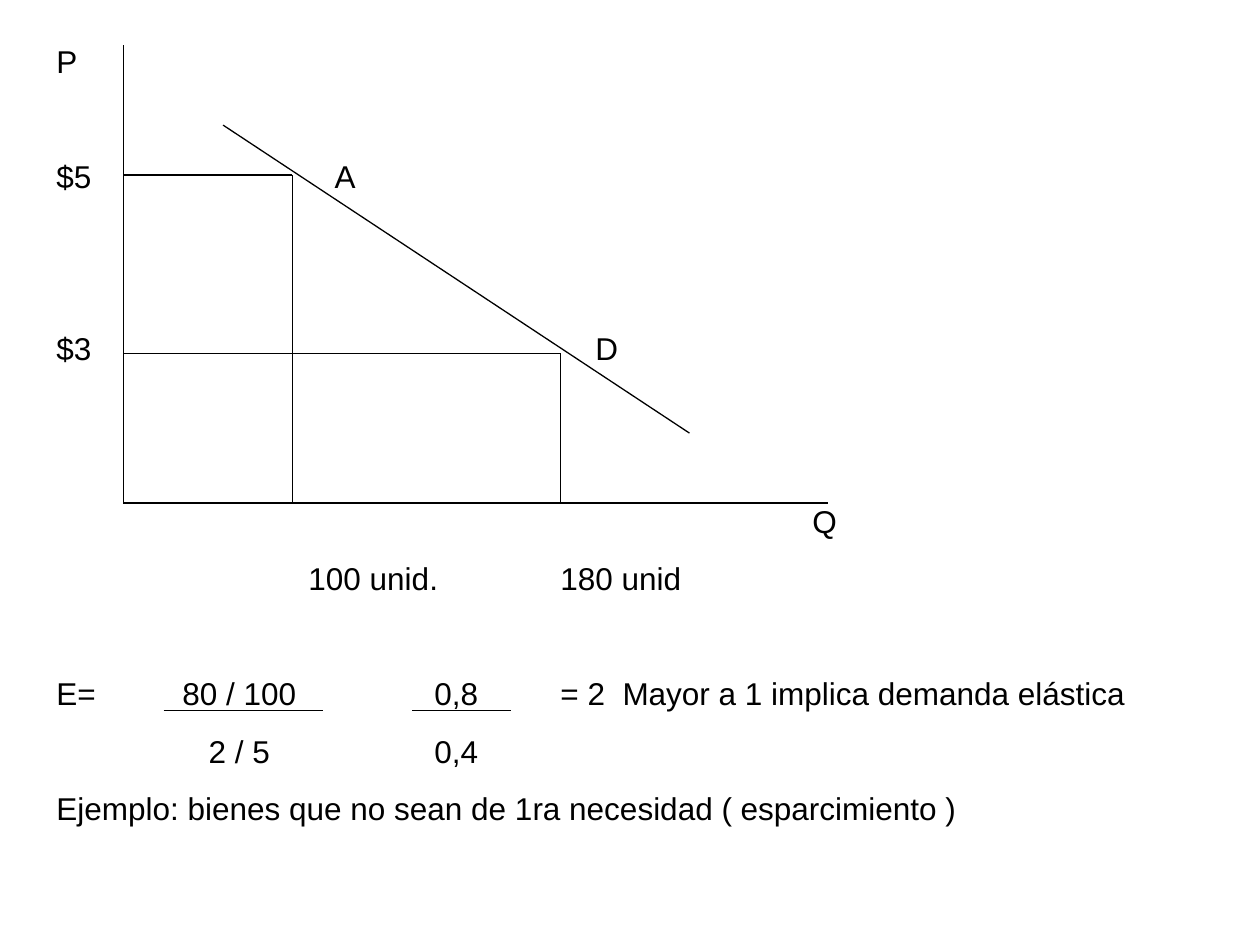
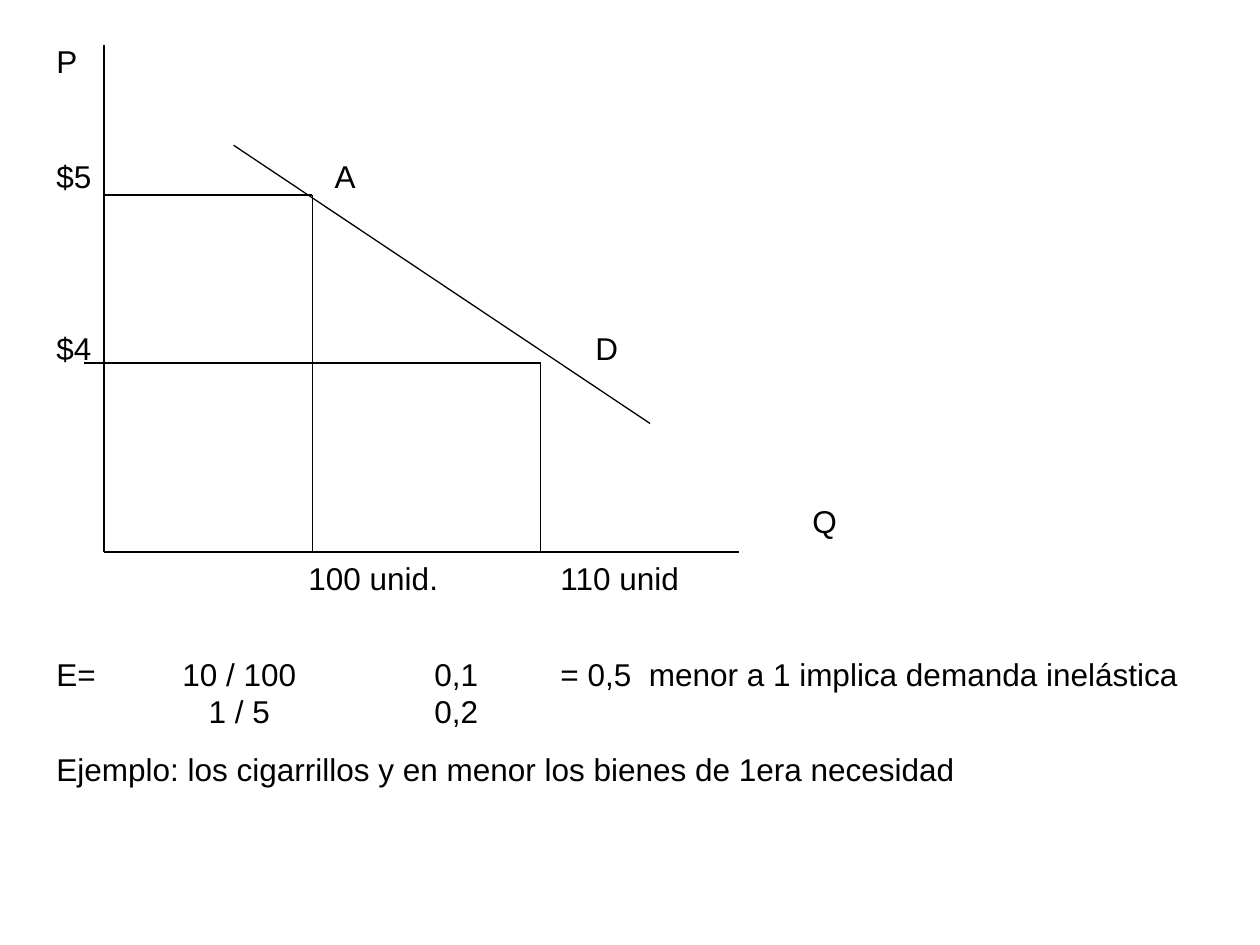
from lxml import etree
from pptx import Presentation
from pptx.dml.color import RGBColor
from pptx.enum import shapes, text
from pptx.oxml.ns import qn
from pptx.util import Pt

COLORS = {"ink": "000000"}
INK = RGBColor.from_string(COLORS["ink"])
FONT, SIZE = "Arial", 18
LINE, GAP = 21.65, 11.2
PITCH = LINE + GAP
COLUMN = 72

examples = [
    dict(
        high_price="$5", low_price="$3", start_units="100 unid.", end_units="180 unid",
        numerator=("80 / 100", "0,8"), denominator=("2 / 5", "0,4"),
        result="= 2", meaning="Mayor a 1 implica demanda elástica", meaning_at=323.5,
        example="Ejemplo: bienes que no sean de 1ra necesidad ( esparcimiento )",
        fraction_gap=GAP, text_height=489,
        axis_x=70.5, axis_top=26, base=287.5, axis_end=473,
        demand=(127.5, 71.5, 394, 247.5), point_a=(167, 100), point_d=(320.5, 202),
        low_guide_x=70.5,
        fraction_bars=[(93.5, 406, 184.5, 406), (235.5, 406, 292, 406)],
    ),
    dict(
        high_price="$5", low_price="$4", start_units="100 unid.", end_units="110 unid",
        numerator=("10 / 100", "0,1"), denominator=("1 / 5", "0,2"),
        result="= 0,5", meaning="menor a 1 implica demanda inelástica", meaning_at=338.5,
        example="Ejemplo: los cigarrillos y en menor los bienes de 1era necesidad",
        fraction_gap=0, text_height=433.5,
        axis_x=59.5, axis_top=26, base=315.5, axis_end=422.5,
        demand=(133.5, 83, 371.5, 242), point_a=(178.5, 111.5), point_d=(309, 207.5),
        low_guide_x=48,
        fraction_bars=[],
    ),
]


def draw_line(slide, x1, y1, x2, y2):
    line = slide.shapes.add_connector(
        shapes.MSO_CONNECTOR.STRAIGHT, Pt(x1), Pt(y1), Pt(x2), Pt(y2))
    line.line.color.rgb = INK
    line.line.width = Pt(0.75)
    etree.SubElement(line._element.spPr, qn("a:effectLst"))


def set_tabs(paragraph, stops):
    tabs = etree.SubElement(paragraph._p.get_or_add_pPr(), qn("a:tabLst"))
    for stop in stops:
        etree.SubElement(tabs, qn("a:tab"), pos=str(int(Pt(stop))), algn="l")


prs = Presentation()
prs.slide_width, prs.slide_height = Pt(720), Pt(540)

for ex in examples:
    slide = prs.slides.add_slide(prs.slide_layouts[6])

    # Each row: text, tab stops, space before
    one_row_skipped = PITCH + GAP
    two_rows_skipped = 2 * PITCH + GAP
    rows = [
        ("P", [], 0),
        (f"{ex['high_price']}\tA", [2 * COLUMN + 15], one_row_skipped),
        (f"{ex['low_price']}\tD", [4 * COLUMN + 20], two_rows_skipped),
        ("\tQ", [6 * COLUMN], two_rows_skipped),
        (f"\t{ex['start_units']}\t{ex['end_units']}", [2 * COLUMN, 4 * COLUMN], GAP),
        ("\t".join(["E=", *ex["numerator"], ex["result"], ex["meaning"]]),
         [COLUMN, 3 * COLUMN, 4 * COLUMN, ex["meaning_at"]], PITCH + ex["fraction_gap"]),
        ("\t" + "\t".join(ex["denominator"]), [COLUMN + 15, 3 * COLUMN], ex["fraction_gap"]),
        (ex["example"], [], GAP),
    ]
    notes = slide.shapes.add_textbox(Pt(25.2), Pt(20.2), Pt(674.6), Pt(ex["text_height"]))
    frame = notes.text_frame
    frame.word_wrap = True
    frame.auto_size = text.MSO_AUTO_SIZE.NONE
    for index, (content, stops, space) in enumerate(rows):
        row = frame.add_paragraph() if index else frame.paragraphs[0]
        row.text = content
        if stops:
            set_tabs(row, stops)
        row.line_spacing = Pt(LINE)
        row.space_before = Pt(space)
        for run in row.runs:
            run.font.name = FONT
            run.font.size = Pt(SIZE)
            run.font.color.rgb = INK

    axis_x, base = ex["axis_x"], ex["base"]
    (a_x, a_y), (d_x, d_y) = ex["point_a"], ex["point_d"]
    for ends in [
        (axis_x, ex["axis_top"], axis_x, base),
        (axis_x, base, ex["axis_end"], base),
        ex["demand"],
        (axis_x, a_y, a_x, a_y),
        (ex["low_guide_x"], d_y, d_x, d_y),
        (a_x, a_y, a_x, base),
        (d_x, d_y, d_x, base),
        *ex["fraction_bars"],
    ]:
        draw_line(slide, *ends)

prs.save("out.pptx")
